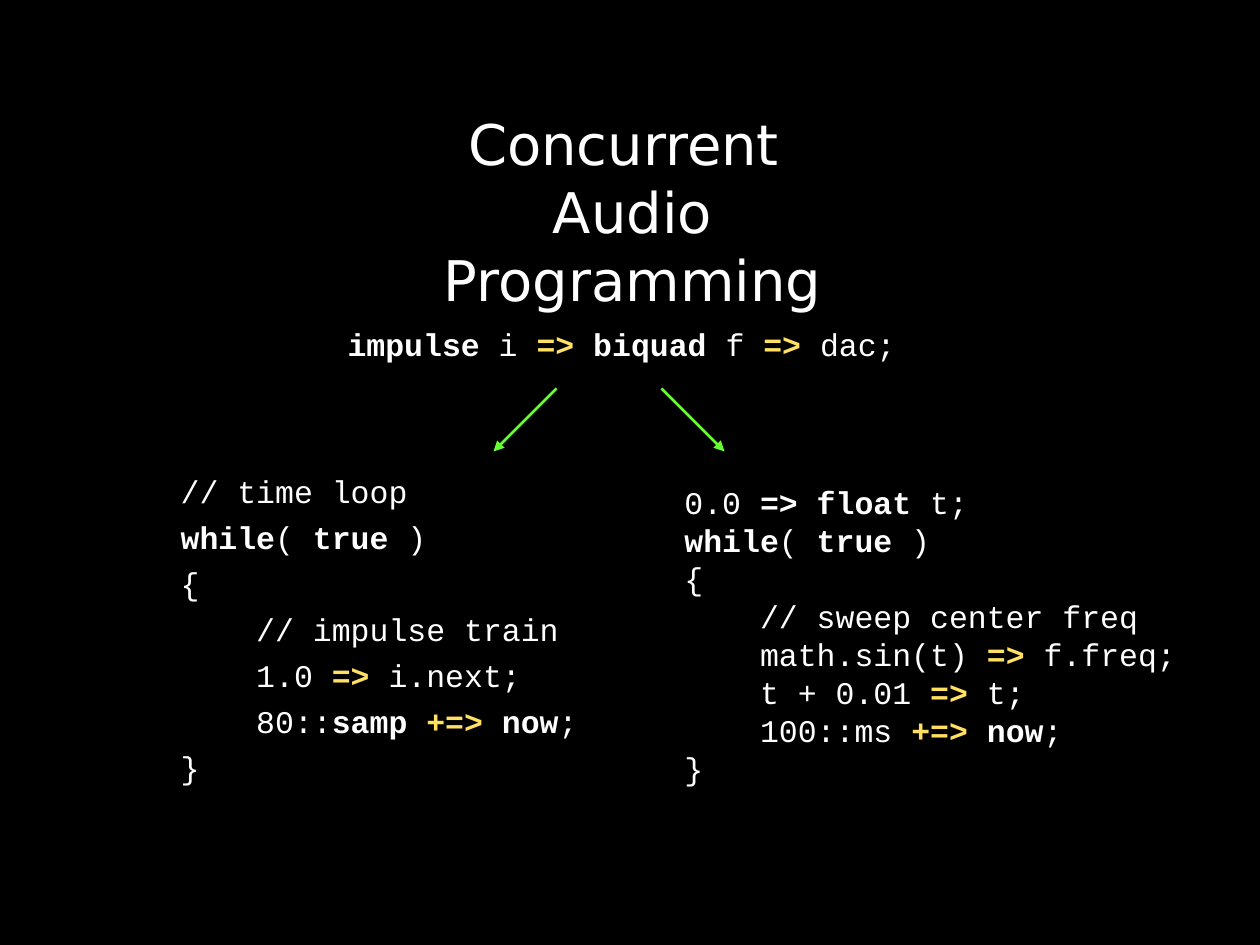
from pptx import Presentation
from pptx.dml.color import RGBColor
from pptx.enum.shapes import MSO_CONNECTOR as Connector
from pptx.enum.text import MSO_ANCHOR as Anchor, MSO_AUTO_SIZE as AutoSize, PP_ALIGN as Align
from pptx.oxml.ns import qn
from pptx.util import Pt
from lxml.etree import SubElement

BLACK, WHITE, YELLOW, GREEN = "000000", "FFFFFF", "FFE062", "66FF33"

# Run styles: colour, bold
PLAIN = (WHITE, False)
BOLD = (WHITE, True)
CHUCK = (YELLOW, True)

WHILE_LINE = [("while", BOLD), ("( ", PLAIN), ("true", BOLD), (" )", PLAIN)]

PATCH = [
    [("impulse ", BOLD), ("i ", PLAIN), ("=>", CHUCK), (" biquad ", BOLD),
     ("f ", PLAIN), ("=> ", CHUCK), ("dac;", PLAIN)],
]
TIME_LOOP = [
    [("// time loop", PLAIN)],
    WHILE_LINE,
    [("{", PLAIN)],
    [("    // impulse train", PLAIN)],
    [("    1.0 ", PLAIN), ("=>", CHUCK), (" i.next;", PLAIN)],
    [("    80::", PLAIN), ("samp ", BOLD), ("+=> ", CHUCK), ("now", BOLD), (";", PLAIN)],
    [("}", PLAIN)],
]
SWEEP_LOOP = [
    [("0.0", PLAIN), (" => float ", BOLD), ("t;", PLAIN)],
    WHILE_LINE,
    [("{", PLAIN)],
    [("    // sweep center freq", PLAIN)],
    [("    math.sin(t) ", PLAIN), ("=>", CHUCK), (" f.freq;", PLAIN)],
    [("    t + 0.01 ", PLAIN), ("=>", CHUCK), (" t;", PLAIN)],
    [("    100::ms ", PLAIN), ("+=> ", CHUCK), ("now", BOLD), (";", PLAIN)],
    [("}", PLAIN)],
]


def color(value):
    return RGBColor.from_string(value)


class SlideBuilder:
    title_font, title_size, title_pitch = "DejaVu Sans", 32, 38.8
    code_font, code_size, code_pitch = "Courier New", 18, 21.7

    def __init__(self, page):
        self.page = page
        fill = page.background.fill
        fill.solid()
        fill.fore_color.rgb = color(BLACK)

    def add_lines(self, frame, lines, font, size, pitch, align, gap=0):
        """Fill a text frame with lines of (text, style) runs."""
        for index, line in enumerate(lines):
            para = frame.add_paragraph() if index else frame.paragraphs[0]
            para.alignment = align
            para.line_spacing = Pt(pitch)
            para.space_before = Pt(gap if index else 0)
            for text, (tint, bold) in line:
                span = para.add_run()
                span.text = text
                span.font.name, span.font.size, span.font.bold = font, Pt(size), bold
                span.font.color.rgb = color(tint)

    def title(self, left, top, width, height, lines):
        box = self.page.shapes.title
        box.left, box.top, box.width, box.height = map(Pt, (left, top, width, height))
        frame = box.text_frame
        frame.word_wrap = True
        frame.auto_size = AutoSize.NONE
        frame.vertical_anchor = Anchor.TOP
        self.add_lines(frame, [[(line, PLAIN)] for line in lines], self.title_font,
                       self.title_size, self.title_pitch, Align.CENTER)

    def code(self, left, top, width, height, lines, inset=7.2, gap=0, wrap=True):
        box = self.page.shapes.add_textbox(*map(Pt, (left, top, width, height)))
        frame = box.text_frame
        frame.word_wrap = wrap
        frame.margin_left, frame.margin_top = Pt(inset), Pt(5.8)
        self.add_lines(frame, lines, self.code_font, self.code_size,
                       self.code_pitch, Align.LEFT, gap)

    def arrow(self, start, end):
        arrow = self.page.shapes.add_connector(Connector.STRAIGHT, *map(Pt, start + end))
        arrow.line.color.rgb = color(GREEN)
        arrow.line.width = Pt(1.5)
        properties = arrow.element.spPr
        SubElement(properties.find(qn("a:ln")), qn("a:tailEnd"), type="triangle")
        SubElement(properties, qn("a:effectLst"))


def main():
    deck = Presentation()
    deck.slide_width, deck.slide_height = Pt(720), Pt(540)
    builder = SlideBuilder(deck.slides.add_slide(deck.slide_layouts[5]))

    builder.title(201, 58.5, 321, 84, ["Concurrent ", "Audio Programming"])
    builder.code(191.5, 180, 327.5, 29, PATCH, wrap=False)
    builder.code(24, 264, 444, 216, TIME_LOOP, inset=79.2, gap=4.5)
    builder.code(384, 270, 312, 180, SWEEP_LOOP)
    for start, run in ((318, -36), (378, 36)):
        builder.arrow((start, 222), (start + run, 258))

    deck.save("out.pptx")


if __name__ == "__main__":
    main()
